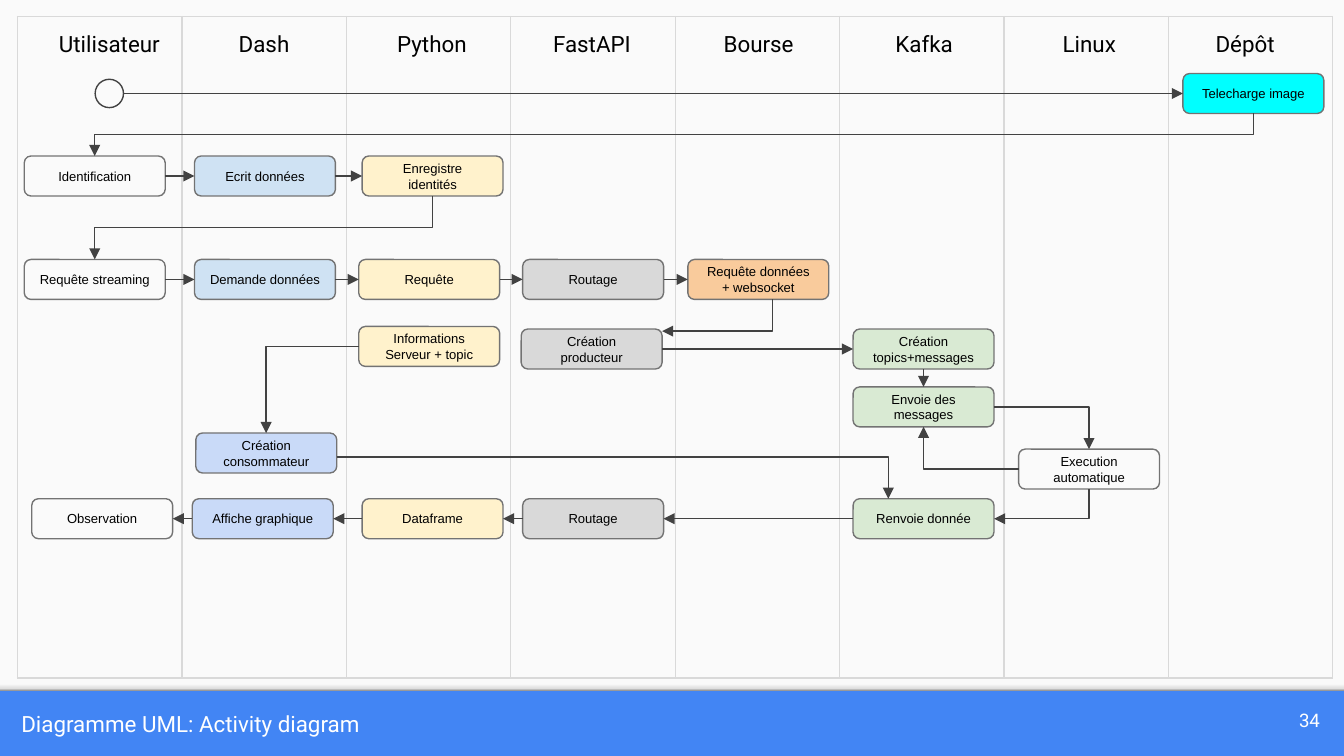
import pptx
import pptx.dml.color
import pptx.enum.shapes
import pptx.enum.text
import pptx.oxml.ns
import pptx.util
from dataclasses import dataclass
from lxml import etree

Pt = pptx.util.Pt
RGB = pptx.dml.color.RGBColor
Shape = pptx.enum.shapes.MSO_SHAPE
Connector = pptx.enum.shapes.MSO_CONNECTOR
Align = pptx.enum.text.PP_ALIGN
Anchor = pptx.enum.text.MSO_ANCHOR
qn = pptx.oxml.ns.qn


@dataclass(frozen=True)
class Theme:
    band: str = "4285F4"
    paper: str = "FAFAFA"
    grid: str = "D9D9D9"
    outline: str = "737373"
    arrow: str = "424242"
    ink: str = "000000"
    light: str = "FFFFFF"
    cyan: str = "00FFFF"
    blue: str = "CFE2F3"
    indigo: str = "C9DAF8"
    yellow: str = "FFF2CC"
    grey: str = "D9D9D9"
    orange: str = "F9CB9C"
    green: str = "D9EAD3"
    heading_font: str = "Roboto"
    box_font: str = "Arial"
    heading_size: float = 12
    number_size: float = 10
    box_size: float = 7
    stroke: float = 0.75


theme = Theme()

TITLE = "Diagramme UML: Activity diagram"
NUMBER = "34"
SHADOW_STOPS = [(0, "F9F9F9"), (36, "F9F9F9"), (80, "DEDEDE"), (100, "999999")]

LANES = [
    ("Utilisateur", 23), ("Dash", 105.8), ("Python", 195.8), ("FastAPI", 281.5),
    ("Bourse", 370.8), ("Kafka", 459.4), ("Linux", 547.9), ("Dépôt", 631.4),
]
ROWS = {"start": 39.4, "login": 83.6, "stream": 139, "info": 174.9, "create": 176.3,
        "send": 207.3, "consume": 232, "run": 240.6, "show": 267.2}
BOX_WIDTH, BOX_HEIGHT = 75.5, 21.4
START = (51, 42.5, 15.2)

BOXES = [
    ("image", "Telecharge image", 633.7, "start", theme.cyan),
    ("login", "Identification", 13, "login", None),
    ("write", "Ecrit données", 104.2, "login", theme.blue),
    ("save", "Enregistre identités", 194, "login", theme.yellow),
    ("stream", "Requête streaming", 13, "stream", None),
    ("ask", "Demande données", 104.2, "stream", theme.blue),
    ("request", "Requête", 192.2, "stream", theme.yellow),
    ("route", "Routage", 280, "stream", theme.grey),
    ("socket", "Requête données\n+ websocket", 368.5, "stream", theme.orange),
    ("info", "Informations\nServeur + topic", 192.2, "info", theme.yellow),
    ("producer", "Création\nproducteur", 279.2, "create", theme.grey),
    ("topics", "Création topics+messages", 457, "create", theme.green),
    ("send", "Envoie des messages", 457, "send", theme.green),
    ("run", "Execution automatique", 545.7, "run", None),
    ("consumer", "Création\nconsommateur", 104.9, "consume", theme.indigo),
    ("observe", "Observation", 17, "show", None),
    ("graph", "Affiche graphique", 103, "show", theme.indigo),
    ("frame", "Dataframe", 194, "show", theme.yellow),
    ("return", "Routage", 280, "show", theme.grey),
    ("resend", "Renvoie donnée", 457, "show", theme.green),
]

TOP, LEFT, BOTTOM, RIGHT = range(4)
STRAIGHT = [
    (RIGHT, LEFT, ["login", "write", "save"]),
    (RIGHT, LEFT, ["stream", "ask", "request", "route", "socket"]),
    (RIGHT, LEFT, ["producer", "topics"]),
    (BOTTOM, TOP, ["topics", "send"]),
    (LEFT, RIGHT, ["resend", "return", "frame", "graph", "observe"]),
]
BENT = [
    ("image", (0.5, 1), "login", (0.5, 0), 3),
    ("save", (0.5, 1), "stream", (0.5, 0), 3),
    ("socket", (0.6, 1), "producer", (1, 0.05), 2),
    ("info", (0, 0.5), "consumer", (0.5, 0), 2),
    ("send", (1, 0.5), "run", (0.5, 0), 2),
    ("run", (0, 0.5), "send", (0.5, 1), 2),
    ("run", (0.5, 1), "resend", (1, 0.5), 2),
    ("consumer", (1, 0.6), "resend", (0.25, 0), 2),
]

deck = pptx.Presentation()
deck.slide_width, deck.slide_height = Pt(720), Pt(405)
page = deck.slides.add_slide(deck.slide_layouts[6])
page.background.fill.solid()
page.background.fill.fore_color.rgb = RGB.from_string(theme.band)


def write(shape, text, font, size, color, align, anchor):
    frame = shape.text_frame
    frame.text = text
    frame.word_wrap = True
    frame.vertical_anchor = anchor
    frame.margin_left = frame.margin_right = frame.margin_top = frame.margin_bottom = Pt(7.2)
    for para in frame.paragraphs:
        para.alignment = align
        for span in para.runs:
            span.font.name, span.font.size = font, Pt(size)
            span.font.color.rgb = RGB.from_string(color)


def add_label(bounds, text, size, color, align, anchor=Anchor.MIDDLE):
    box = page.shapes.add_textbox(*map(Pt, bounds))
    write(box, text, theme.heading_font, size, color, align, anchor)


def add_shape(kind, bounds, fill=None, line=None):
    shape = page.shapes.add_shape(kind, *map(Pt, bounds))
    shape.shadow.inherit = False
    if fill:
        shape.fill.solid()
        shape.fill.fore_color.rgb = RGB.from_string(fill)
    else:
        shape.fill.background()
    if line:
        shape.line.color.rgb = RGB.from_string(line)
        shape.line.width = Pt(theme.stroke)
    else:
        shape.line.fill.background()
    return shape


def add_arrow(kind, start, end):
    arrow = page.shapes.add_connector(kind, *map(Pt, (*start, *end)))
    arrow.line.color.rgb = RGB.from_string(theme.arrow)
    arrow.line.width = Pt(theme.stroke)
    etree.SubElement(arrow.line._get_or_add_ln(), qn("a:tailEnd"), type="triangle")
    etree.SubElement(arrow._element.spPr, qn("a:effectLst"))
    return arrow


def add_bent_arrow(start, end, bends, vertical):
    (x1, y1), (x2, y2) = start, end
    if vertical:
        x, y = (x1 + x2) / 2, (y1 + y2) / 2
        half_width, half_height = abs(y2 - y1) / 2, abs(x2 - x1) / 2
        start, end = (x - half_width, y - half_height), (x + half_width, y + half_height)
    arrow = add_arrow(Connector.ELBOW, start, end)
    properties = arrow._element.spPr
    properties.find(qn("a:prstGeom")).set("prst", f"bentConnector{bends}")
    if vertical:
        properties.find(qn("a:xfrm")).set("rot", "5400000")


add_shape(Shape.RECTANGLE, (0, 0, 720, 370), theme.paper)
shadow = add_shape(Shape.RECTANGLE, (0, 364.4, 720, 5.6))
shadow.fill.gradient()
shadow.fill.gradient_angle = 270
stops = shadow._element.spPr.find(".//" + qn("a:gsLst"))
stops.clear()
for position, color in SHADOW_STOPS:
    stop = etree.SubElement(stops, qn("a:gs"), pos=str(position * 1000))
    etree.SubElement(stop, qn("a:srgbClr"), val=color)

add_label((4.3, 370, 660, 35), TITLE, theme.heading_size, theme.light, Align.LEFT)
add_label((671, 370, 43.2, 31), NUMBER, theme.number_size, theme.light, Align.RIGHT)

lanes = page.shapes.add_table(1, len(LANES), Pt(9.4), Pt(8.8), Pt(704.8), Pt(354.4)).table
lanes.first_row = lanes.horz_banding = False
for cell in lanes.iter_cells():
    properties = cell._tc.get_or_add_tcPr()
    for side in "LRTB":
        border = etree.SubElement(properties, qn(f"a:ln{side}"), w=str(Pt(theme.stroke)))
        paint = etree.SubElement(border, qn("a:solidFill"))
        etree.SubElement(paint, qn("a:srgbClr"), val=theme.grid)
    cell.fill.background()

for name, left in LANES:
    add_label((left, 8.8, 71.3, 28.8), name, theme.heading_size, theme.ink, Align.CENTER, Anchor.TOP)

boxes, corners = {}, {}
for key, text, left, row, fill in BOXES:
    corners[key] = left, ROWS[row]
    boxes[key] = add_shape(Shape.ROUNDED_RECTANGLE, (left, ROWS[row], BOX_WIDTH, BOX_HEIGHT), fill, theme.outline)
    write(boxes[key], text, theme.box_font, theme.box_size, theme.ink, Align.CENTER, Anchor.MIDDLE)


def point(key, share):
    left, top = corners[key]
    return left + BOX_WIDTH * share[0], top + BOX_HEIGHT * share[1]


left, top, diameter = START
add_shape(Shape.OVAL, (left, top, diameter, diameter), line=theme.arrow)
target = point("image", (0, 0.5))
add_arrow(Connector.STRAIGHT, (left + diameter, target[1]), target).end_connect(boxes["image"], LEFT)

for exit_side, entry_side, chain in STRAIGHT:
    for source, target in zip(chain, chain[1:]):
        arrow = add_arrow(Connector.STRAIGHT, corners[source], corners[target])
        arrow.begin_connect(boxes[source], exit_side)
        arrow.end_connect(boxes[target], entry_side)

for source, leaving, target, entering, bends in BENT:
    add_bent_arrow(point(source, leaving), point(target, entering), bends, leaving[1] == 1)

deck.save("out.pptx")
